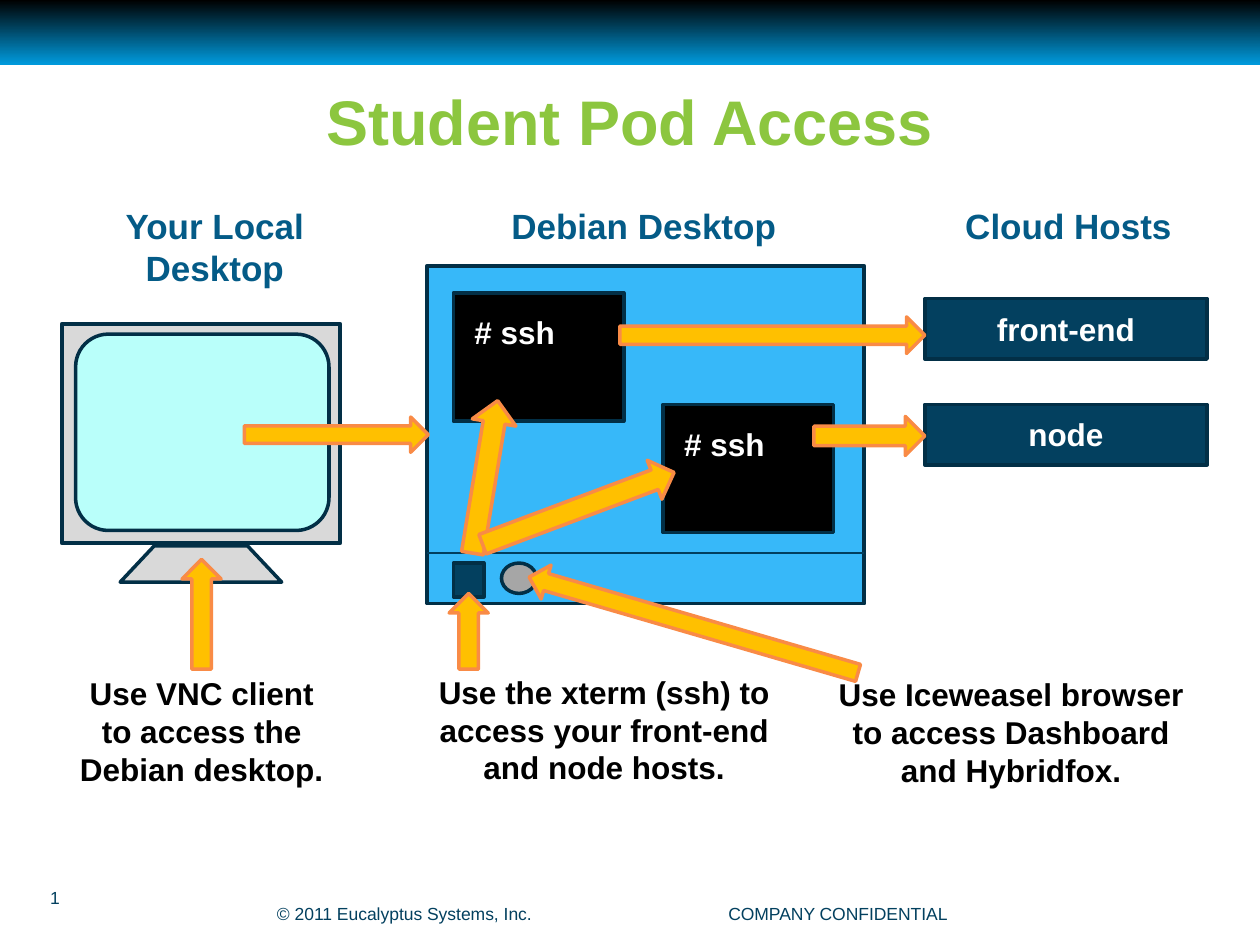
from dataclasses import dataclass
from math import atan2, degrees, hypot

from lxml import etree
from pptx import Presentation, util as u
from pptx.dml.color import RGBColor
from pptx.enum import shapes, text
from pptx.oxml import ns

NAVY, OUTLINE, GREY = "03405F", "022F46", "D9D9D9"
KIND, ALIGN, ANCHOR = shapes.MSO_SHAPE, text.PP_ALIGN, text.MSO_ANCHOR


@dataclass
class Box:
    left: float
    top: float
    width: float
    height: float

    def inner(self, x, y, width, height):
        """Return an inner box given as shares of this one."""
        return Box(self.left + x * self.width, self.top + y * self.height,
                   width * self.width, height * self.height)

    def emu(self):
        return [u.Inches(v) for v in (self.left, self.top, self.width, self.height)]


def rgb(colour):
    return RGBColor.from_string(colour)


def add_block(page, kind, box, fill, line=OUTLINE, weight=2):
    block = page.shapes.add_shape(kind, *box.emu())
    block.shadow.inherit = False
    block.fill.solid()
    block.fill.fore_color.rgb = rgb(fill)
    block.line.color.rgb = rgb(line)
    block.line.width = u.Pt(weight)
    return block


def write(frame, words, size, colour, bold=True, align=ALIGN.CENTER, anchor=ANCHOR.TOP):
    frame.word_wrap = True
    frame.auto_size = text.MSO_AUTO_SIZE.NONE
    frame.vertical_anchor = anchor
    para = frame.paragraphs[0]
    para.text = words
    para.alignment = align
    para.font.name = "Arial"
    para.font.size = u.Pt(size)
    para.font.bold = bold
    para.font.color.rgb = rgb(colour)
    return para


def add_label(page, box, *args, **options):
    write(page.shapes.add_textbox(*box.emu()).text_frame, *args, **options)


def add_arrow(page, tail, tip, thickness):
    """Add a block arrow that runs from tail to tip."""
    dx, dy = tip[0] - tail[0], tip[1] - tail[1]
    length = hypot(dx, dy)
    box = Box((tail[0] + tip[0] - length) / 2, (tail[1] + tip[1] - thickness) / 2,
              length, thickness)
    arrow = add_block(page, KIND.RIGHT_ARROW, box, "FFC000", "F98B46")
    arrow.rotation = degrees(atan2(dy, dx)) % 360


def add_banner(page, box):
    banner = add_block(page, KIND.RECTANGLE, box, NAVY)
    banner.line.fill.background()
    banner.fill.gradient()
    banner.fill.gradient_angle = 270
    for stop, colour in zip(banner.fill.gradient_stops, ("000000", "0099DB")):
        stop.color.rgb = rgb(colour)


def add_title(page, box):
    title = page.shapes.title
    title.left, title.top, title.width, title.height = box.emu()
    write(title.text_frame, "Student Pod Access", 36, "8CC63F").line_spacing = 0.93


def add_footer(page, box):
    for words, place, align in (
            ("© 2011 Eucalyptus Systems, Inc.", (0.21, 0.35, 0.29, 0.5), ALIGN.LEFT),
            ("COMPANY CONFIDENTIAL", (0.52, 0.35, 0.29, 0.5), ALIGN.CENTER),
            ("1", (0.03, 0.04, 0.05, 0.63), ALIGN.LEFT)):
        add_label(page, box.inner(*place), words, 10, NAVY, bold=False,
                  align=align, anchor=ANCHOR.MIDDLE)


def add_monitor(page, box):
    add_block(page, KIND.RECTANGLE, box.inner(0, 0, 1, 0.85), GREY, weight=2.25)
    stand = add_block(page, KIND.TRAPEZOID, box.inner(0.21, 0.86, 0.58, 0.14), GREY)
    stand.adjustments[0] = 0.94
    add_block(page, KIND.ROUNDED_RECTANGLE, box.inner(0.05, 0.04, 0.91, 0.76), "B9FFFA")


def add_terminal(page, box):
    add_block(page, KIND.RECTANGLE, box, "000000")
    add_label(page, box.inner(0.05, 0.11, 0.78, 0.39), "# ssh", 18, "FFFFFF",
              align=ALIGN.LEFT)


def add_desktop(page, box):
    add_block(page, KIND.RECTANGLE, box, "37B8F9", weight=2.25)
    add_block(page, KIND.RECTANGLE, box.inner(0.06, 0.88, 0.07, 0.1), NAVY)
    left, top, width, _ = box.inner(0, 0.85, 1, 0).emu()
    edge = page.shapes.add_connector(shapes.MSO_CONNECTOR.STRAIGHT,
                                     left, top, left + width, top)
    edge.line.color.rgb = rgb("013F5F")
    edge.line.width = u.Pt(1.5)
    etree.SubElement(edge._element.spPr, ns.qn("a:effectLst"))
    add_block(page, KIND.OVAL, box.inner(0.17, 0.88, 0.08, 0.09), "A6A6A6")
    for x, y in ((0.54, 0.41), (0.06, 0.08)):
        add_terminal(page, box.inner(x, y, 0.39, 0.38))


def add_host(page, box, name):
    add_block(page, KIND.RECTANGLE, box, NAVY)
    add_label(page, box.inner(0.1, 0.08, 0.8, 0.84), name, 18, "FFFFFF")


def main():
    deck = Presentation()
    deck.slide_width, deck.slide_height = u.Inches(10), u.Inches(7.5)
    page = deck.slides.add_slide(deck.slide_layouts[5])

    add_banner(page, Box(0, 0, 10, 0.51))
    add_footer(page, Box(0, 6.93, 10, 0.54))
    add_title(page, Box(0.34, 0.66, 9.32, 1.2))

    add_monitor(page, Box(0.49, 2.57, 2.21, 2.05))
    for row, name in enumerate(("front-end", "node")):
        add_host(page, Box(7.34, 2.37 + 0.84 * row, 2.24, 0.48), name)
    add_desktop(page, Box(3.39, 2.11, 3.47, 2.68))

    for heading, left, width, height in (("Your Local Desktop", 0.59, 2.23, 0.77),
                                         ("Debian Desktop", 3.78, 2.66, 0.44),
                                         ("Cloud Hosts", 7.37, 2.22, 0.44)):
        add_label(page, Box(left, 1.57, width, height), heading, 20, "045B87")

    for note, left, top, width in (
            ("Use VNC client to access the Debian desktop.", 0.49, 5.3, 2.22),
            ("Use the xterm (ssh) to access your front-end and node hosts.",
             3.19, 5.29, 3.21),
            ("Use Iceweasel browser to access Dashboard and Hybridfox.",
             6.47, 5.31, 3.11)):
        add_label(page, Box(left, top, width, 1.01), note, 18, "000000")

    for tail, tip, thickness in (((1.94, 3.45), (3.4, 3.45), 0.28),
                                 ((3.75, 4.39), (3.95, 3.18), 0.35),
                                 ((3.83, 4.32), (5.35, 3.75), 0.33),
                                 ((4.92, 2.66), (7.34, 2.66), 0.29),
                                 ((6.46, 3.46), (7.34, 3.46), 0.31),
                                 ((1.6, 5.31), (1.6, 4.44), 0.31),
                                 ((3.72, 5.31), (3.72, 4.71), 0.31),
                                 ((6.81, 5.34), (4.2, 4.58), 0.28)):
        add_arrow(page, tail, tip, thickness)

    deck.save("out.pptx")


if __name__ == "__main__":
    main()
